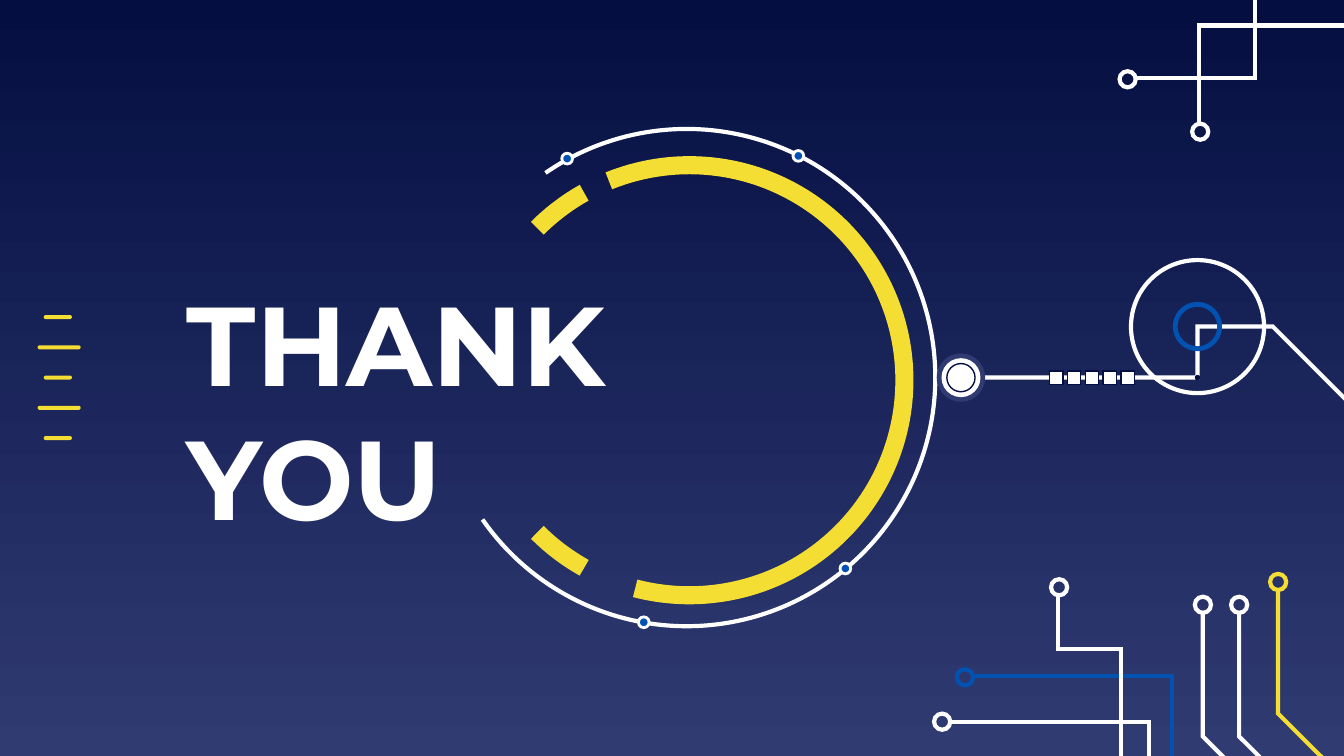
from dataclasses import dataclass
from typing import Optional

from lxml.etree import SubElement
from pptx import Presentation
from pptx.dml.color import RGBColor
from pptx.enum.shapes import MSO_SHAPE as Preset
from pptx.enum.text import MSO_ANCHOR as Anchor, MSO_AUTO_SIZE as AutoSize, PP_ALIGN as Align
from pptx.oxml.ns import qn
from pptx.util import Inches, Pt

NAVY, INDIGO, BLUE = "040E41", "303B72", "0152B1"
YELLOW, WHITE = "F5DE34", "FFFFFF"
LINE_WEIGHT = 2.25
NODE_SIZE = 0.12

Point = tuple[float, float]


@dataclass
class Trace:
    points: list[Point]
    color: str = WHITE
    node: Optional[Point] = None


@dataclass
class Disc:
    center: Point
    diameter: float
    fill: Optional[str] = None
    line: Optional[str] = None
    weight: float = LINE_WEIGHT


@dataclass
class Arc:
    """Clockwise arc; angles are in degrees from the right-hand side."""
    center: Point
    radius: float
    start: float
    end: float
    color: str
    weight: float


def rgb(color: str) -> RGBColor:
    return RGBColor.from_string(color)


def paint(shape, fill: Optional[str] = None, line: Optional[str] = None,
          weight: float = LINE_WEIGHT) -> None:
    shape.shadow.inherit = False
    if fill:
        shape.fill.solid()
        shape.fill.fore_color.rgb = rgb(fill)
    else:
        shape.fill.background()
    if line:
        shape.line.color.rgb = rgb(line)
        shape.line.width = Pt(weight)
        outline = shape.element.spPr.find(qn("a:ln"))
        SubElement(outline, qn("a:miter"), lim="800000")
    else:
        shape.line.fill.background()


def add_centered(shapes, preset, center: Point, width: float, height: float):
    x, y = center
    return shapes.add_shape(preset, Inches(x - width / 2), Inches(y - height / 2),
                            Inches(width), Inches(height))


def draw_disc(shapes, disc: Disc) -> None:
    oval = add_centered(shapes, Preset.OVAL, disc.center, disc.diameter, disc.diameter)
    paint(oval, disc.fill, disc.line, disc.weight)


def draw_trace(shapes, trace: Trace) -> None:
    start, *rest = [(Inches(x), Inches(y)) for x, y in trace.points]
    builder = shapes.build_freeform(*start)
    builder.add_line_segments(rest, close=False)
    paint(builder.convert_to_shape(), line=trace.color)
    if trace.node:
        draw_disc(shapes, Disc(trace.node, NODE_SIZE, line=trace.color))


def draw_arc(shapes, arc: Arc) -> None:
    curve = add_centered(shapes, Preset.ARC, arc.center, 2 * arc.radius, 2 * arc.radius)
    for index, degrees in enumerate((arc.start, arc.end)):
        curve.adjustments[index] = degrees * 0.6  # 60000ths of a degree over 100000
    paint(curve, line=arc.color, weight=arc.weight)


def riser(x: float, top: float, color: str = WHITE) -> Trace:
    """Vertical trace that bends to the lower right below its node."""
    bend = top + 0.93
    return Trace([(x, top), (x, bend), (x + 0.44, bend + 0.44), (x + 0.44, top + 2.1)],
                 color, (x, top - 0.05))


def set_title(slide) -> None:
    title = slide.shapes.title
    box = {"left": 1.29, "top": 1.78, "width": 5.05, "height": 2.52}
    for name, inches in box.items():
        setattr(title, name, Inches(inches))
    frame = title.text_frame
    frame_format = {"word_wrap": True, "auto_size": AutoSize.NONE,
                    "vertical_anchor": Anchor.MIDDLE}
    for side in ("left", "right", "top", "bottom"):
        frame_format[f"margin_{side}"] = Inches(0.1)
    for name, value in frame_format.items():
        setattr(frame, name, value)
    paragraph = frame.paragraphs[0]
    paragraph.alignment = Align.LEFT
    for index, word in enumerate(("THANK", "YOU")):
        if index:
            paragraph.add_line_break()
        run = paragraph.add_run()
        run.text = word
        for name, value in {"name": "Montserrat", "size": Pt(60), "bold": True}.items():
            setattr(run.font, name, value)
        run.font.color.rgb = rgb(WHITE)


def set_background(slide) -> None:
    fill = slide.background.fill
    fill.gradient()
    fill.gradient_angle = 270
    for stop, color in zip(fill.gradient_stops, (NAVY, INDIGO)):
        stop.color.rgb = rgb(color)


CIRCUITS = [
    Trace([(10.2, 6.24), (8.72, 6.24), (8.72, 5.03), (7.24, 5.03)], BLUE, (7.18, 5.04)),
    riser(8.95, 4.55),
    riser(9.22, 4.55),
    riser(9.51, 4.38, YELLOW),
    Trace([(8.45, 0.58), (9.34, 0.58), (9.34, -0.52)], node=(8.39, 0.59)),
    Trace([(8.92, 0.93), (8.92, 0.19), (10.11, 0.19), (10.11, -0.52)], node=(8.93, 0.98)),
    Trace([(10.03, 6.57), (8.55, 6.57), (8.55, 5.37), (7.07, 5.37)], node=(7.01, 5.37)),
    Trace([(7.87, 4.42), (7.87, 4.83), (8.34, 4.83), (8.34, 5.94)], node=(7.88, 4.37)),
]
RING_CENTER = (5.13, 2.83)
RING = [Arc(RING_CENTER, 1.6, start, end, YELLOW, 9.69)
        for start, end in ((119.3, 135), (248, 104.6), (225, 240.7))]
ORBIT = Arc((5.11, 2.81), 1.85, 235.4, 145.2, WHITE, LINE_WEIGHT)
ORBIT_DOTS = [(5.94, 1.16), (4.22, 1.18), (6.29, 4.23), (4.79, 4.63)]
LEAD = Trace([(10.14, 3.1), (9.47, 2.43), (8.91, 2.43), (8.91, 2.81), (7.23, 2.81)])
HUB, KNOB = (8.91, 2.43), (7.15, 2.81)
LEAD_DISCS = [
    Disc((8.91, 2.81), 0.04, fill=NAVY),
    Disc(HUB, 0.99, line=WHITE),
    Disc(HUB, 0.33, line=BLUE, weight=2.57),
    Disc(KNOB, 0.36, fill=INDIGO),
    Disc(KNOB, 0.29, fill=WHITE),
    Disc(KNOB, 0.21, fill=WHITE, line=NAVY, weight=0.75),
]


def main() -> None:
    deck = Presentation()
    deck.slide_width = Inches(10)
    deck.slide_height = deck.slide_width * 9 // 16
    slide = deck.slides.add_slide(deck.slide_layouts[5])
    shapes = slide.shapes
    set_background(slide)

    for row in range(5):
        x, width = (0.44, 0.32) if row % 2 else (0.43, 0.21)
        dash = add_centered(shapes, Preset.ROUNDED_RECTANGLE,
                            (x, 2.36 + 0.9 * row / 4), width, 0.03)
        dash.adjustments[0] = 0.5
        paint(dash, YELLOW)

    for circuit in CIRCUITS:
        draw_trace(shapes, circuit)
    set_title(slide)
    for arc in (*RING, ORBIT):
        draw_arc(shapes, arc)
    for center in ORBIT_DOTS:
        draw_disc(shapes, Disc(center, 0.08, BLUE, WHITE, 1.5))
    draw_trace(shapes, LEAD)
    for disc in LEAD_DISCS:
        draw_disc(shapes, disc)
    for column in range(5):
        bead = add_centered(shapes, Preset.RECTANGLE,
                            (7.86 + 0.53 * column / 4, 2.81), 0.1, 0.1)
        paint(bead, WHITE, NAVY, 0.75)

    deck.save("out.pptx")


if __name__ == "__main__":
    main()
